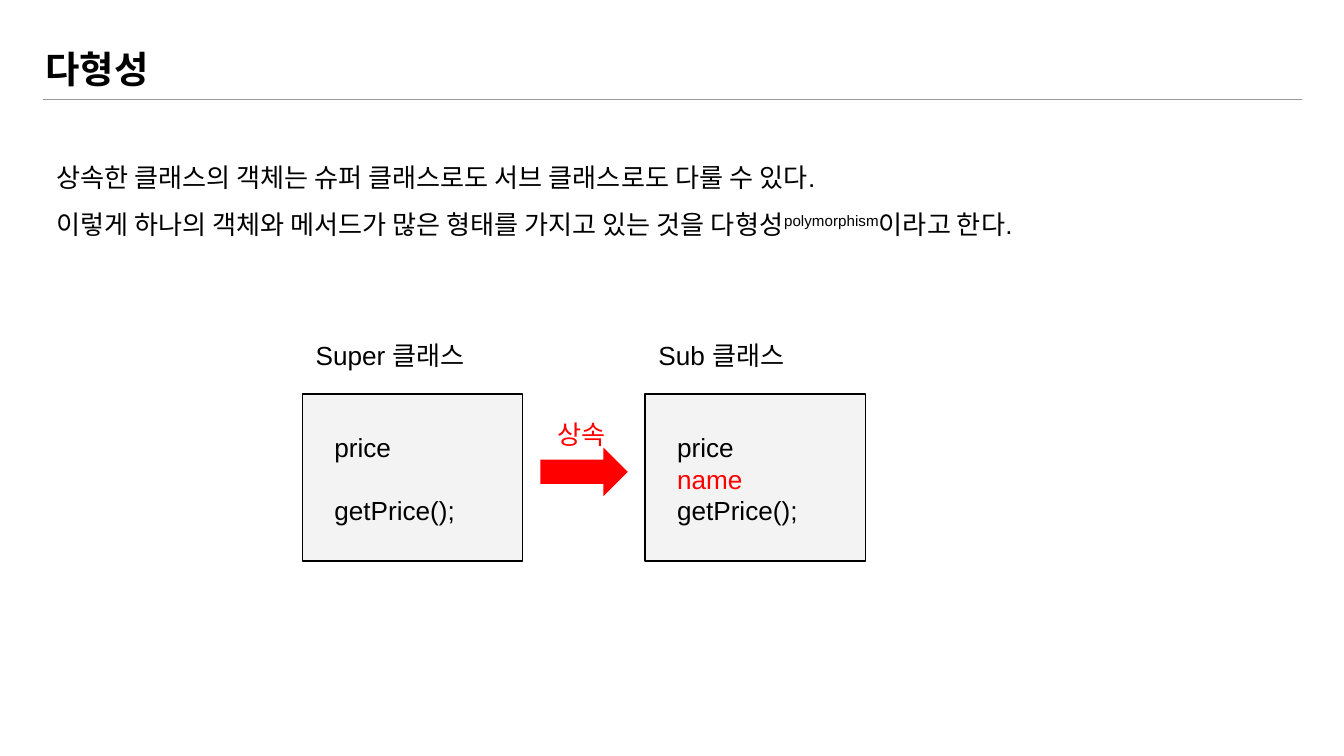
from lxml import etree
from pptx import Presentation
from pptx.dml.color import RGBColor
from pptx.enum import shapes, text
from pptx.oxml.ns import qn
from pptx.util import Pt

BLACK = RGBColor(0x00, 0x00, 0x00)
RED = RGBColor(0xFF, 0x00, 0x00)
RULE_GRAY = RGBColor(0x99, 0x99, 0x99)
BOX_GRAY = RGBColor(0xF3, 0xF3, 0xF3)

BODY_FONT = "Arial"
TITLE_FONT = "Noto Sans CJK KR"
INSET = 7.2
BLANK_LINE = 17


def set_insets(tf):
    tf.margin_left = tf.margin_right = Pt(INSET)
    tf.margin_top = tf.margin_bottom = Pt(INSET)
    tf.word_wrap = True


def format_paragraph(p, color=BLACK, size=14, name=BODY_FONT, bold=False):
    p.font.size = Pt(size)
    p.font.name = name
    p.font.bold = bold
    p.font.color.rgb = color


def add_text(slide, x, y, w, h, lines):
    """Add a text box; lines holds (wording, color) pairs."""
    tf = slide.shapes.add_textbox(Pt(x), Pt(y), Pt(w), Pt(h)).text_frame
    set_insets(tf)
    tf.auto_size = text.MSO_AUTO_SIZE.SHAPE_TO_FIT_TEXT
    for i, (wording, color) in enumerate(lines):
        p = tf.paragraphs[0] if i == 0 else tf.add_paragraph()
        p.text = wording
        format_paragraph(p, color)
    return tf


def add_filled(slide, kind, x, y, w, h, fill):
    sp = slide.shapes.add_shape(kind, Pt(x), Pt(y), Pt(w), Pt(h))
    sp.shadow.inherit = False
    sp.fill.solid()
    sp.fill.fore_color.rgb = fill
    sp.line.fill.background()
    return sp


def add_heading(slide, x, y, w, h, wording):
    # Title
    title = slide.shapes.title
    title.left, title.top, title.width, title.height = Pt(x), Pt(y), Pt(w), Pt(h)
    tf = title.text_frame
    set_insets(tf)
    tf.vertical_anchor = text.MSO_ANCHOR.MIDDLE
    p = tf.paragraphs[0]
    p.text = wording
    p.alignment = text.PP_ALIGN.LEFT
    format_paragraph(p, size=20, name=TITLE_FONT, bold=True)

    # Rule under the title
    rule_y = Pt(y + 36)
    rule = slide.shapes.add_connector(
        shapes.MSO_CONNECTOR.STRAIGHT, Pt(x + 5.8), rule_y, Pt(x + 680.4), rule_y)
    rule.line.color.rgb = RULE_GRAY
    rule.line.width = Pt(0.75)
    etree.SubElement(rule._element.spPr, qn("a:effectLst"))


def add_explanation(slide, x, y, w, h):
    tf = add_text(slide, x, y, w, h, [
        ("상속한 클래스의 객체는 슈퍼 클래스로도 서브 클래스로도 다룰 수 있다.", BLACK),
        ("이렇게 하나의 객체와 메서드가 많은 형태를 가지고 있는 것을 다형성", BLACK),
    ])
    # Superscript term
    p = tf.paragraphs[1]
    term = p.add_run()
    term.text = "polymorphism"
    term._r.get_or_add_rPr().set("baseline", "30000")
    p.add_run().text = "이라고 한다."
    for p in tf.paragraphs:
        p.line_spacing = 1.5


def add_class(slide, x, y, w, h, name, members):
    """Draw a class box with its name above; returns the member text frame."""
    box = add_filled(slide, shapes.MSO_SHAPE.RECTANGLE, x, y, w, h, BOX_GRAY)
    box.line.color.rgb = BLACK
    box.line.width = Pt(0.75)
    add_text(slide, x, y - 36.5, 104.4, 31.7, [(name, BLACK)])
    return add_text(slide, x + 10, y + 13, 90, 65.5, members)


def add_inheritance(slide, x, y, w, h):
    arrow = add_filled(slide, shapes.MSO_SHAPE.RIGHT_ARROW, x, y, w, h, RED)
    arrow.adjustments[0] = arrow.adjustments[1] = 0.5
    label = add_text(slide, x - 1.5, y - 23, w, 31.7, [("상속", RED)])
    label.paragraphs[0].alignment = text.PP_ALIGN.CENTER


def main():
    prs = Presentation()
    prs.slide_width, prs.slide_height = Pt(720), Pt(405)
    slide = prs.slides.add_slide(prs.slide_layouts[5])

    add_heading(slide, 17.2, 17.3, 591.8, 38.9, "다형성")
    add_explanation(slide, 23, 70.6, 576.7, 56.9)

    # Class diagram
    top, w, h = 211, 118, 89.5
    members = add_class(slide, 162, top, w, h, "Super 클래스",
                        [("price", BLACK), ("getPrice();", BLACK)])
    members.paragraphs[1].space_before = Pt(BLANK_LINE)
    add_class(slide, 345.6, top, w, h, "Sub 클래스",
              [("price", BLACK), ("name", RED), ("getPrice();", BLACK)])
    add_inheritance(slide, 289.5, 239.8, 46.8, 26)

    prs.save("out.pptx")


if __name__ == "__main__":
    main()
